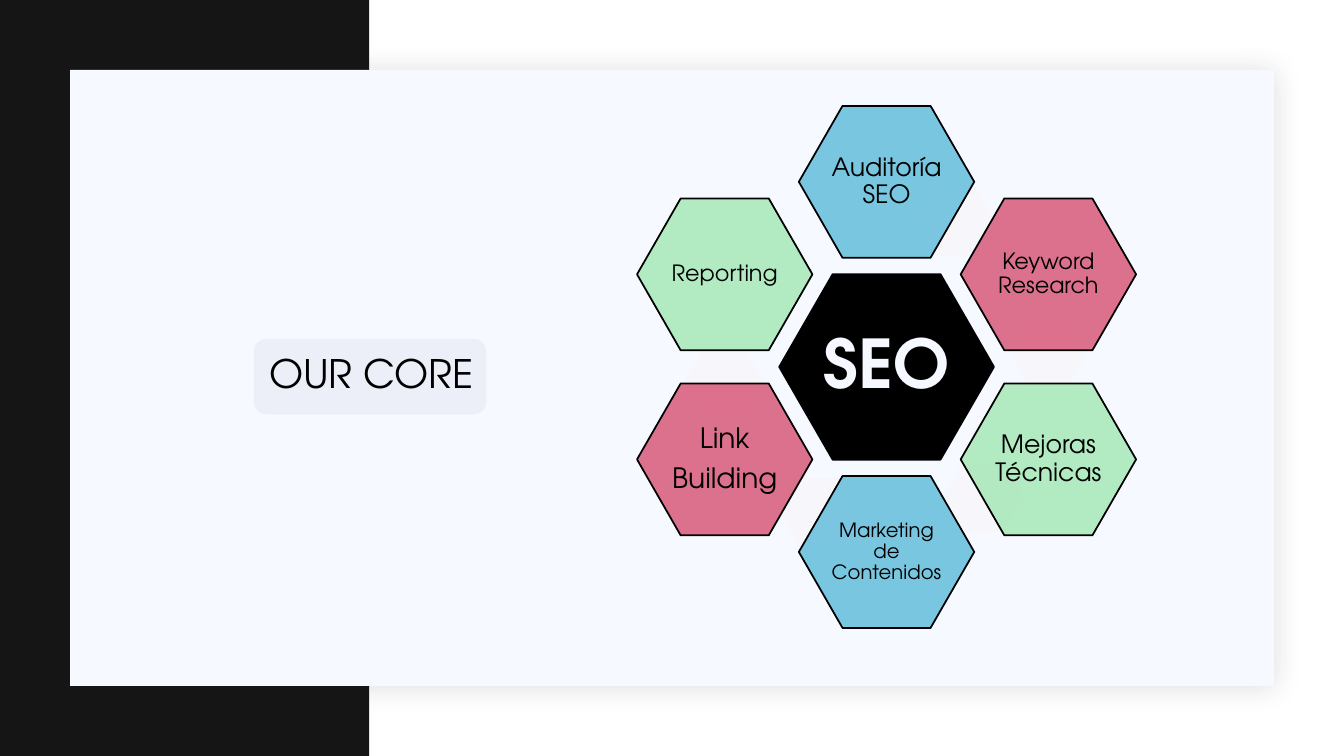
"""Build the slide showing the core SEO services as a ring of hexagons."""
from pptx import Presentation
from pptx.dml.color import RGBColor
from pptx.enum.shapes import MSO_SHAPE
from pptx.enum.text import MSO_ANCHOR, MSO_AUTO_SIZE, PP_ALIGN
from pptx.oxml.ns import qn
from pptx.util import Pt
from lxml import etree

RECTANGLE, ROUNDED, HEXAGON = MSO_SHAPE.RECTANGLE, MSO_SHAPE.ROUNDED_RECTANGLE, MSO_SHAPE.HEXAGON
MIDDLE, NO_FIT = MSO_ANCHOR.MIDDLE, MSO_AUTO_SIZE.NONE
LEFT, CENTER = PP_ALIGN.LEFT, PP_ALIGN.CENTER

FONT = "TeX Gyre Adventor"
COLOURS = {
    "band": "141514", "panel": "F6F9FF", "shadow": "1F2125", "label": "ECEEF7",
    "black": "000000", "light": "F5F8FF", "link": "F7F7FB",
    "blue": "45B1D4", "rose": "D1385F", "green": "96E4A8",
}
TITLE = "OUR CORE"
HUB = "SEO"
SERVICES = [
    (["Auditoría SEO"], 18, "blue", (0, -2), (652.3, 132.5)),
    (["Keyword Research"], 16, "rose", (1, -1), (720, 225.4)),
    (["Mejoras Técnicas"], 18, "green", (1, 1), (673.2, 330.5)),
    (["Marketing de Contenidos"], 14, "blue", (0, 2), (557.3, 341.3)),
    (["Link", "Building"], 20, "rose", (-1, 1), (488.2, 248.4)),
    (["Reporting"], 16, "green", (-1, -1), None),
]
CENTER_X, CENTER_Y = 633.3, 262.1
STEP_X, STEP_Y = 115.6, 66.1
HUB_SIZE = (153.4, 132.5)
SERVICE_SIZE = (125.3, 108.5)
LINK_SIZE = (57.6, 49.7)
CORNER_SHARE = 0.249


def paint(shape, colour, opacity=100):
    shape.fill.solid()
    shape.fill.fore_color.rgb = RGBColor.from_string(COLOURS[colour])
    if opacity < 100:
        tint = shape.fill._xPr.find(".//" + qn("a:srgbClr"))
        etree.SubElement(tint, qn("a:alpha"), val=str(opacity * 1000))
    shape.shadow.inherit = False


def add_block(page, kind, left, top, width, height, colour, opacity=100):
    block = page.shapes.add_shape(kind, Pt(left), Pt(top), Pt(width), Pt(height))
    paint(block, colour, opacity)
    block.line.fill.background()
    return block


def add_panel_shadow(panel):
    effects = panel.element.spPr.find(qn("a:effectLst"))
    shade = etree.SubElement(effects, qn("a:outerShdw"), blurRad=str(Pt(20)),
                             dist=str(Pt(2)), dir=str(45 * 60000),
                             algn="tl", rotWithShape="0")
    tint = etree.SubElement(shade, qn("a:srgbClr"), val=COLOURS["shadow"])
    etree.SubElement(tint, qn("a:alpha"), val="15000")


def write(shape, lines, size, colour, align, margins, bold=False):
    frame = shape.text_frame
    side, end = Pt(margins[0]), Pt(margins[1])
    frame_format = {"word_wrap": True, "auto_size": NO_FIT, "vertical_anchor": MIDDLE,
                    "margin_left": side, "margin_right": side,
                    "margin_top": end, "margin_bottom": end}
    for name, value in frame_format.items():
        setattr(frame, name, value)
    for index, line in enumerate(lines):
        para = frame.add_paragraph() if index else frame.paragraphs[0]
        para_format = {"alignment": align, "line_spacing": 0.9,
                       "space_before": Pt(7 if index else 0)}
        for name, value in para_format.items():
            setattr(para, name, value)
        span = para.add_run()
        span.text = line
        for name, value in {"name": FONT, "size": Pt(size), "bold": bold}.items():
            setattr(span.font, name, value)
        span.font.color.rgb = RGBColor.from_string(COLOURS[colour])


def add_hexagon(page, center_x, center_y, size, colour, opacity):
    half_width, half_height = size[0] / 2, size[1] / 2
    flat = half_width - CORNER_SHARE * size[0]
    offsets = [(-half_width, 0), (-flat, -half_height), (flat, -half_height),
               (half_width, 0), (flat, half_height), (-flat, half_height)]
    corners = [(Pt(center_x + x), Pt(center_y + y)) for x, y in offsets]
    outline = page.shapes.build_freeform(*corners[0])
    outline.add_line_segments(corners[1:], close=True)
    hexagon = outline.convert_to_shape()
    paint(hexagon, colour, opacity)
    hexagon.line.color.rgb = RGBColor.from_string(COLOURS["black"])
    hexagon.line.width = Pt(1.25)
    return hexagon


def main():
    deck = Presentation()
    deck.slide_width, deck.slide_height = Pt(960), Pt(540)
    page = deck.slides.add_slide(deck.slide_layouts[5])

    add_block(page, RECTANGLE, 0, 0, 263.7, 540, "band")
    panel = add_block(page, RECTANGLE, 50, 50, 860, 440, "panel")
    add_panel_shadow(panel)
    add_block(page, ROUNDED, 181.4, 242, 166, 54, "label", 87)

    title = page.shapes.title
    place = {"left": 185, "top": 245.5, "width": 166, "height": 46}
    for name, value in place.items():
        setattr(title, name, Pt(value))
    write(title, [TITLE], 28, "black", LEFT, (7.2, 3.6))
    page.shapes.element.append(title.element)

    hub = add_hexagon(page, CENTER_X, CENTER_Y, HUB_SIZE, "black", 100)
    write(hub, [HUB], 48, "light", CENTER, (28.8, 25.2), bold=True)
    for lines, size, colour, (column, row), link in SERVICES:
        if link:
            add_block(page, HEXAGON, *link, *LINK_SIZE, "link").adjustments[0] = 0.289
        service = add_hexagon(page, CENTER_X + column * STEP_X, CENTER_Y + row * STEP_Y,
                              SERVICE_SIZE, colour, 70)
        write(service, lines, size, "black", CENTER, (22.3, 19.4))

    deck.save("out.pptx")


if __name__ == "__main__":
    main()
